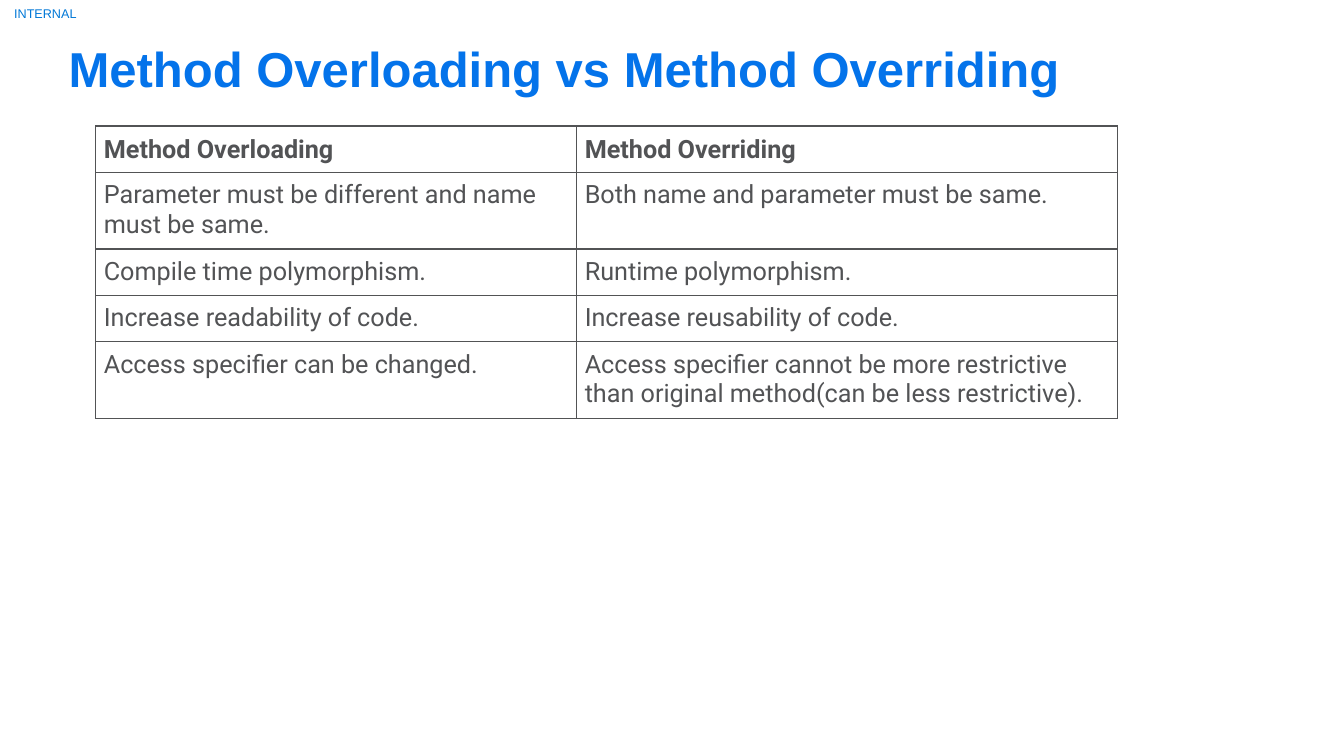
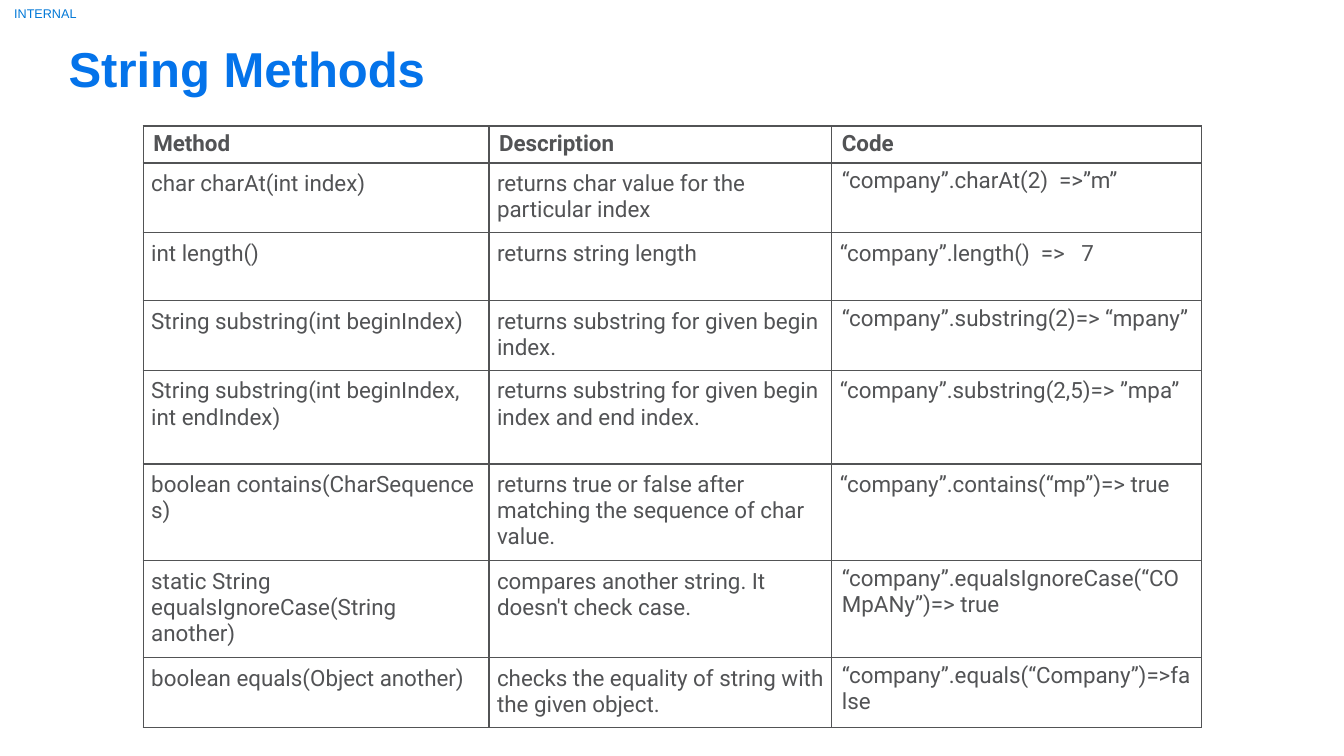
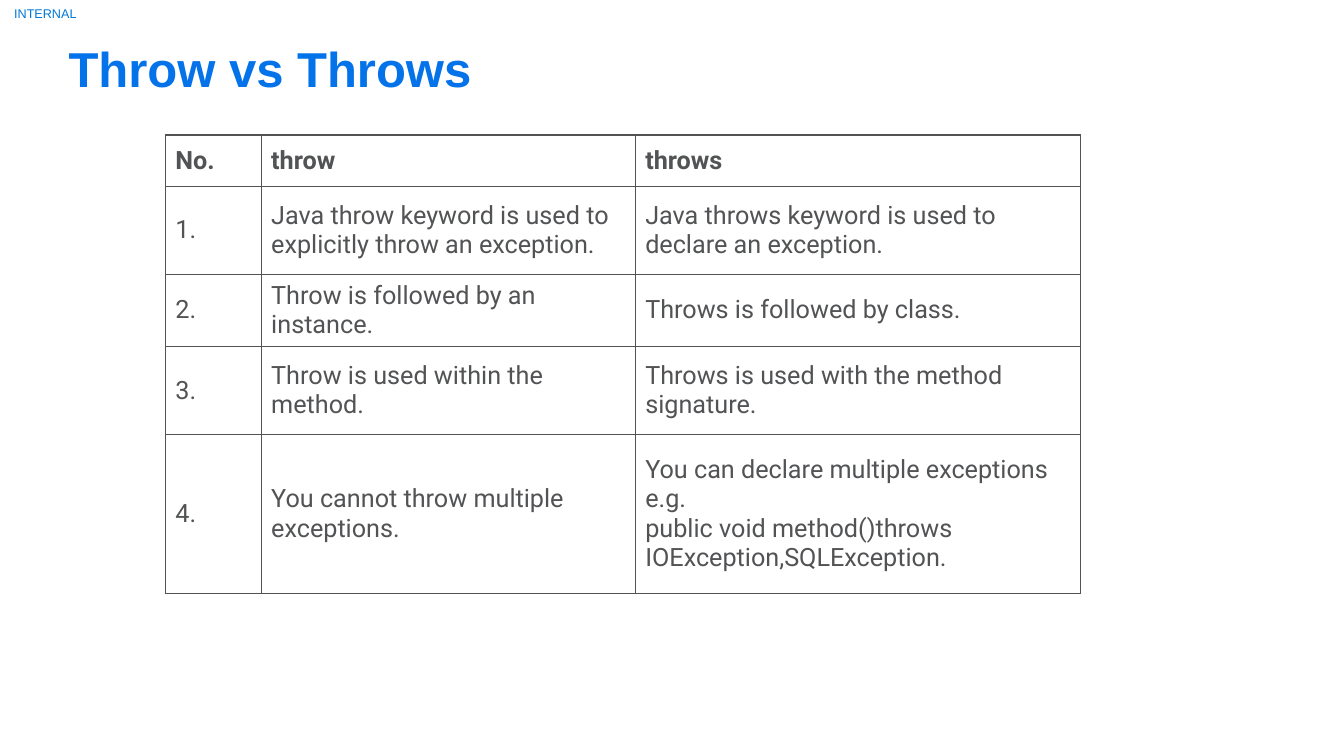
"""Build three Java reference slides, each with a title and a comparison table."""
import pptx
import pptx.dml.color
import pptx.enum.text
import pptx.oxml
import pptx.oxml.ns
import pptx.util

Inches = pptx.util.Inches
Pt = pptx.util.Pt
ANCHOR = pptx.enum.text.MSO_ANCHOR
ALIGN = pptx.enum.text.PP_ALIGN

WHITE, GREY, BLUE, LABEL_BLUE = "FFFFFF", "525355", "0473EA", "0078D7"
EVEN = (0.08, 0.08)
TIGHT = (0.1, 0.05)
MEDIUM = (0.1, 0.06)


def rgb(value):
    return pptx.dml.color.RGBColor.from_string(value)


def add_text(tf, text, size, font, color, bold=False, align=ALIGN.LEFT):
    p = tf.paragraphs[0]
    p.alignment = align
    for i, line in enumerate(text.split("\n")):
        if i:
            p.add_line_break()
        r = p.add_run()
        r.text = line
        r.font.size = Pt(size)
        r.font.name = font
        r.font.bold = bold
        r.font.color.rgb = rgb(color)


slides = [
    {
        "title": "Method Overloading vs Method Overriding",
        "at": (0.95, 1.25), "size": 18,
        "cols": [4.77, 5.36], "rows": [0.41] * 5,
        "header": (ANCHOR.BOTTOM, EVEN), "body": (ANCHOR.TOP, EVEN), "tight": [],
        "cells": [
            ["Method Overloading", "Method Overriding"],
            ["Parameter must be different and name must be same.",
             "Both name and parameter must be same."],
            ["Compile time polymorphism.", "Runtime polymorphism."],
            ["Increase readability of code.", "Increase reusability of code."],
            ["Access specifier can be changed.",
             "Access specifier cannot be more restrictive than original "
             "method(can be less restrictive)."],
        ],
    },
    {
        "title": "String Methods",
        "at": (1.42, 1.25), "size": 16,
        "cols": [3.43, 3.4, 3.67],
        "rows": [0.35, 0.67, 0.67, 0.67, 0.93, 0.85, 0.85, 0.67],
        "header": (ANCHOR.TOP, TIGHT), "body": (ANCHOR.TOP, EVEN),
        "tight": [(1, 2), (3, 2), (6, 2), (7, 2)],
        "cells": [
            ["Method", "Description", "Code"],
            ["char charAt(int index)",
             "returns char value for the particular index",
             "“company”.charAt(2)  =>”m”"],
            ["int length()", "returns string length",
             "“company”.length()  =>   7"],
            ["String substring(int beginIndex)",
             "returns substring for given begin index.",
             "“company”.substring(2)=> “mpany”"],
            ["String substring(int beginIndex, int endIndex)",
             "returns substring for given begin index and end index.",
             "“company”.substring(2,5)=> ”mpa”"],
            ["boolean contains(CharSequence s)",
             "returns true or false after matching the sequence of char value.",
             "“company”.contains(“mp”)=> true"],
            ["static String equalsIgnoreCase(String another)",
             "compares another string. It doesn't check case.",
             "“company”.equalsIgnoreCase(“COMpANy”)=> true"],
            ["boolean equals(Object another)",
             "checks the equality of string with the given object.",
             "“company”.equals(“Company”)=>false"],
        ],
    },
    {
        "title": "Throw vs Throws",
        "at": (1.64, 1.34), "size": 18,
        "cols": [0.95, 3.71, 4.42], "rows": [0.51, 0.87, 0.51, 0.87, 1.58],
        "header": (ANCHOR.MIDDLE, MEDIUM), "body": (ANCHOR.MIDDLE, MEDIUM), "tight": [],
        "cells": [
            ["No.", "throw", "throws"],
            ["1.", "Java throw keyword is used to explicitly throw an exception.",
             "Java throws keyword is used to declare an exception."],
            ["2.", "Throw is followed by an instance.", "Throws is followed by class."],
            ["3.", "Throw is used within the method.",
             "Throws is used with the method signature."],
            ["4.", "You cannot throw multiple exceptions.",
             "You can declare multiple exceptions e.g.\n"
             "public void method()throws IOException,SQLException."],
        ],
    },
]

prs = pptx.Presentation()
prs.slide_width = Inches(13.33)
prs.slide_height = Inches(7.5)

for data in slides:
    s = prs.slides.add_slide(prs.slide_layouts[6])

    for box, anchor, style in [
        ((0, 0, 0.9, 0.26), ANCHOR.MIDDLE,
         ("INTERNAL", 9, "Arial", LABEL_BLUE, False, ALIGN.CENTER)),
        ((0.68, 0.38, 10.42, 0.96), ANCHOR.TOP,
         (data["title"], 35, "Arial", BLUE, True)),
    ]:
        tf = s.shapes.add_textbox(*[Inches(v) for v in box]).text_frame
        tf.word_wrap = True
        tf.vertical_anchor = anchor
        tf.margin_left = tf.margin_right = tf.margin_top = tf.margin_bottom = 0
        add_text(tf, *style)

    cols, rows = data["cols"], data["rows"]
    left, top = data["at"]
    table = s.shapes.add_table(len(rows), len(cols), Inches(left), Inches(top),
                               Inches(sum(cols)), Inches(sum(rows))).table
    table.first_row = table.horz_banding = False
    for col, width in zip(table.columns, cols):
        col.width = Inches(width)
    for row, height in zip(table.rows, rows):
        row.height = Inches(height)

    for i, texts in enumerate(data["cells"]):
        for j, text in enumerate(texts):
            cell = table.cell(i, j)
            anchor, (side, edge) = data["body"] if i else data["header"]
            if (i, j) in data["tight"]:
                side, edge = TIGHT
            cell.vertical_anchor = anchor
            cell.margin_left = cell.margin_right = Inches(side)
            cell.margin_top = cell.margin_bottom = Inches(edge)
            tcPr = cell._tc.get_or_add_tcPr()
            for name in ("lnL", "lnR", "lnT", "lnB"):
                tcPr.append(pptx.oxml.parse_xml(
                    f'<a:{name} {pptx.oxml.ns.nsdecls("a")} w="{Pt(1)}"><a:solidFill>'
                    f'<a:srgbClr val="{GREY}"/></a:solidFill></a:{name}>'))
            cell.fill.solid()
            cell.fill.fore_color.rgb = rgb(WHITE)
            add_text(cell.text_frame, text, data["size"], "Roboto", GREY, bold=i == 0)

prs.save("out.pptx")
